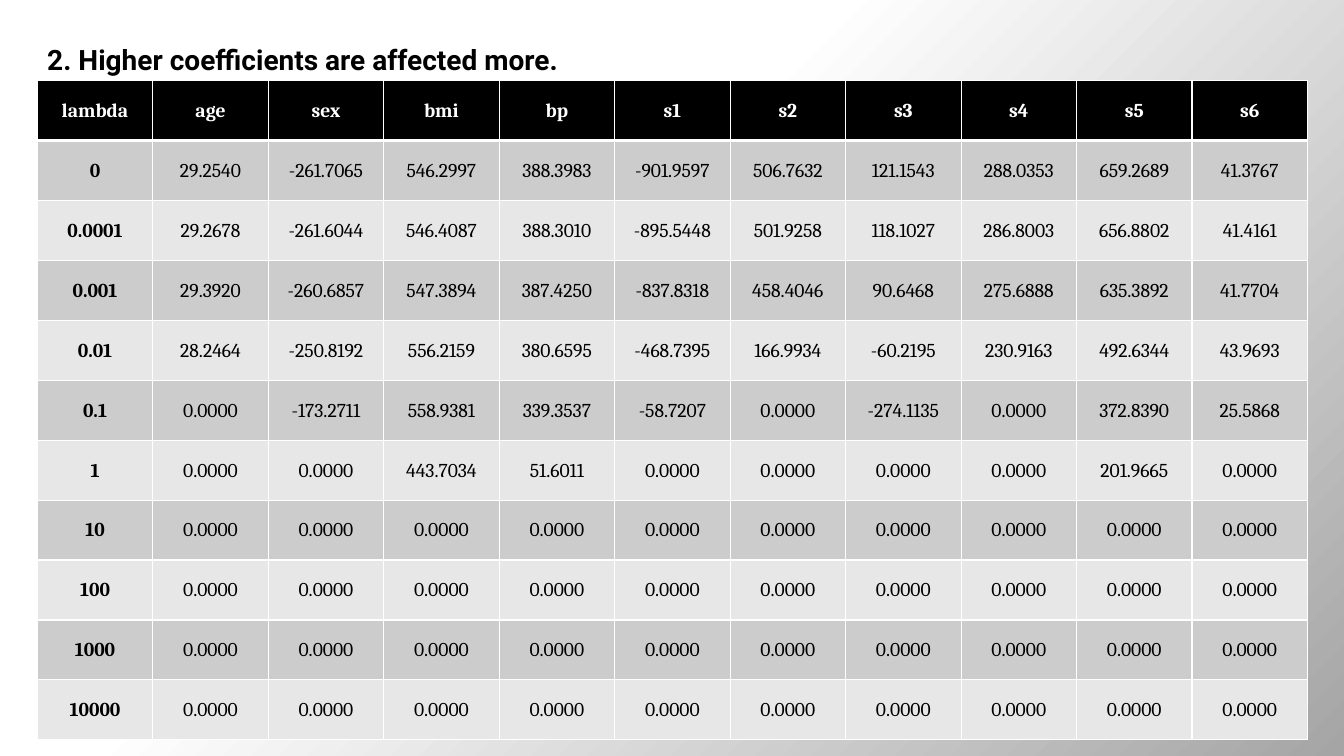
from dataclasses import dataclass

from lxml.etree import SubElement
from pptx import Presentation
from pptx.dml.color import RGBColor
from pptx.enum.text import MSO_ANCHOR, MSO_AUTO_SIZE, PP_ALIGN
from pptx.oxml.ns import qn
from pptx.util import Inches, Pt


@dataclass(frozen=True)
class Theme:
    """Colours, fonts and type sizes of the slide."""
    black: str = "000000"
    white: str = "FFFFFF"
    shade: str = "A5A5A5"
    dark_band: str = "CCCCCC"
    light_band: str = "E7E7E7"
    title_font: str = "Roboto"
    table_font: str = "Cambria"
    title_size: int = 20
    table_size: int = 14
    thin: int = 1
    thick: int = 3


THEME = Theme()
HEADINGS = ["lambda", "age", "sex", "bmi", "bp", "s1", "s2", "s3", "s4", "s5", "s6"]
ZEROS = " ".join(["0.0000"] * 10)
COEFFICIENTS = {
    "0": "29.2540 -261.7065 546.2997 388.3983 -901.9597 506.7632 121.1543 288.0353 659.2689 41.3767",
    "0.0001": "29.2678 -261.6044 546.4087 388.3010 -895.5448 501.9258 118.1027 286.8003 656.8802 41.4161",
    "0.001": "29.3920 -260.6857 547.3894 387.4250 -837.8318 458.4046 90.6468 275.6888 635.3892 41.7704",
    "0.01": "28.2464 -250.8192 556.2159 380.6595 -468.7395 166.9934 -60.2195 230.9163 492.6344 43.9693",
    "0.1": "0.0000 -173.2711 558.9381 339.3537 -58.7207 0.0000 -274.1135 0.0000 372.8390 25.5868",
    "1": "0.0000 0.0000 443.7034 51.6011 0.0000 0.0000 0.0000 0.0000 201.9665 0.0000",
    "10": ZEROS,
    "100": ZEROS,
    "1000": ZEROS,
    "10000": ZEROS,
}


def style_text(para, font, size, color, bold):
    """Format every run of a paragraph."""
    for span in para.runs:
        span.font.name = font
        span.font.size = Pt(size)
        span.font.bold = bold
        span.font.color.rgb = RGBColor.from_string(color)


def paint_background(page):
    """Shade the page from white to grey along its diagonal."""
    fill = page.background.fill
    fill.gradient()
    fill.gradient_angle = 315
    stops = page.background.fill._fill._gradFill.find(qn("a:gsLst"))
    for stop in list(stops):
        stops.remove(stop)
    for position, color, alpha in [(0, THEME.white, 100), (40, THEME.white, 0), (100, THEME.shade, 100)]:
        stop = SubElement(stops, qn("a:gs"), pos=str(position * 1000))
        tint = SubElement(stop, qn("a:srgbClr"), val=color)
        if alpha < 100:
            SubElement(tint, qn("a:alpha"), val=str(alpha * 1000))


def add_title(page, text):
    """Add the heading above the table."""
    box = page.shapes.add_textbox(Inches(0.37), Inches(0.37), Inches(5.95), Inches(0.44))
    frame = box.text_frame
    frame.word_wrap = True
    frame.auto_size = MSO_AUTO_SIZE.SHAPE_TO_FIT_TEXT
    frame.text = text
    style_text(frame.paragraphs[0], THEME.title_font, THEME.title_size, THEME.black, True)


def add_borders(cell, top, bottom):
    """Draw white borders around a cell."""
    properties = cell._tc.get_or_add_tcPr()
    for side, width in [("L", THEME.thin), ("R", THEME.thin), ("T", top), ("B", bottom)]:
        line = SubElement(properties, qn(f"a:ln{side}"), w=str(Pt(width)))
        solid = SubElement(line, qn("a:solidFill"))
        SubElement(solid, qn("a:srgbClr"), val=THEME.white)


def fill_cell(cell, text, row, column):
    """Write and format one cell according to its place in the grid."""
    is_header = row == 0
    add_borders(
        cell,
        top=THEME.thick if row == 1 else THEME.thin,
        bottom=THEME.thick if is_header else THEME.thin,
    )
    band = THEME.dark_band if row % 2 else THEME.light_band
    cell.fill.solid()
    cell.fill.fore_color.rgb = RGBColor.from_string(THEME.black if is_header else band)
    cell.margin_left = cell.margin_top = cell.margin_right = Inches(0.01)
    cell.margin_bottom = Inches(0)
    cell.vertical_anchor = MSO_ANCHOR.MIDDLE
    cell.text_frame.text = text
    para = cell.text_frame.paragraphs[0]
    para.alignment = PP_ALIGN.CENTER
    color = THEME.white if is_header else THEME.black
    style_text(para, THEME.table_font, THEME.table_size, color, is_header or column == 0)


def add_coefficient_table(page):
    """Add the table of coefficients for each lambda."""
    rows = [HEADINGS] + [[label, *values.split()] for label, values in COEFFICIENTS.items()]
    table = page.shapes.add_table(
        len(rows), len(HEADINGS), Inches(0.37), Inches(0.8), Inches(12.6), Inches(6.54)
    ).table
    for row, values in enumerate(rows):
        for column, text in enumerate(values):
            fill_cell(table.cell(row, column), text, row, column)


def main():
    """Build and save the slide."""
    deck = Presentation()
    deck.slide_width = Inches(13.33)
    deck.slide_height = Inches(7.5)
    page = deck.slides.add_slide(deck.slide_layouts[6])
    paint_background(page)
    add_title(page, "2. Higher coefficients are affected more.")
    add_coefficient_table(page)
    deck.save("out.pptx")


if __name__ == "__main__":
    main()
